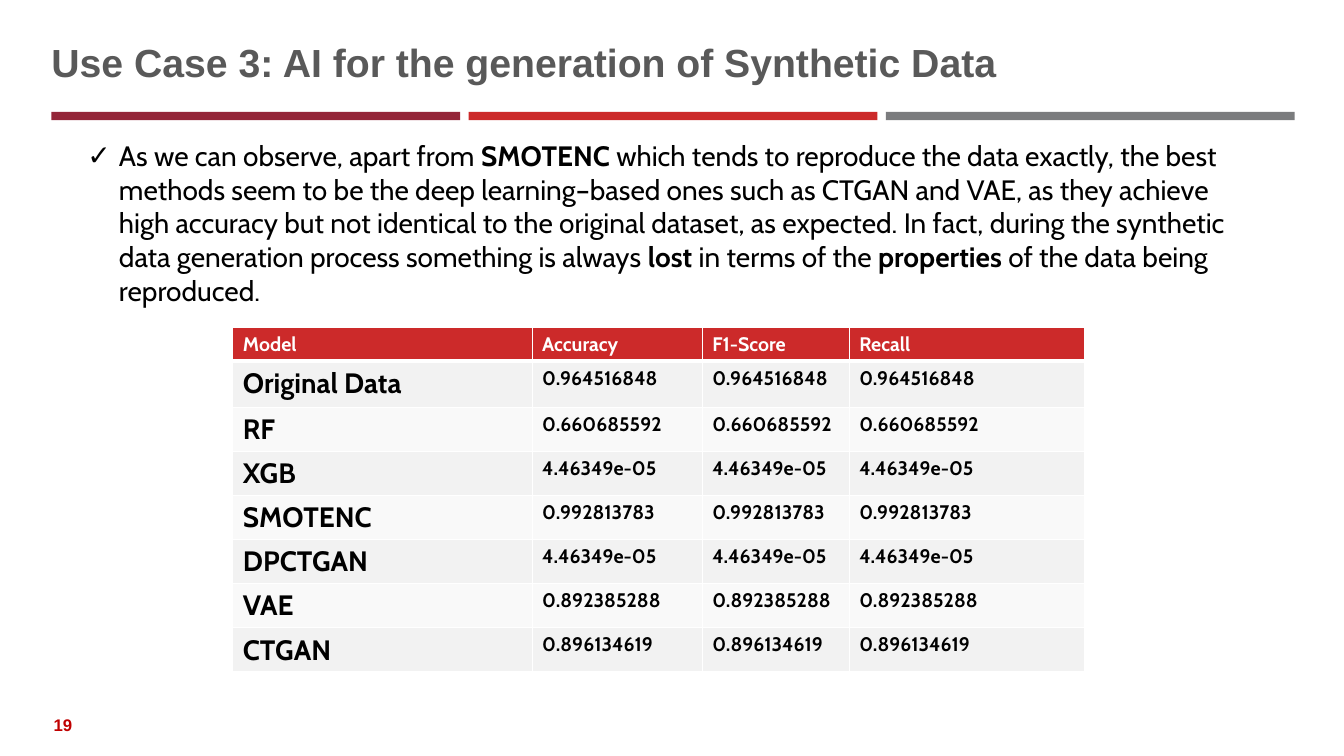
from lxml.etree import SubElement
from pptx import Presentation
from pptx.dml.color import RGBColor
from pptx.enum.shapes import MSO_SHAPE
from pptx.enum.text import MSO_ANCHOR as Anchor, PP_ALIGN as Align
from pptx.oxml.ns import qn
from pptx.util import Pt


def color(value):
    return RGBColor.from_string(value)


def format_runs(paragraph, size, font_name, value, bold=True):
    for run in paragraph.runs:
        run.font.size = Pt(size)
        run.font.name = font_name
        run.font.color.rgb = color(value)
        run.font.bold = bold


presentation = Presentation()
presentation.slide_width = Pt(960)
presentation.slide_height = Pt(540)
slide = presentation.slides.add_slide(presentation.slide_layouts[6])

for index, bar_color in enumerate(["942639", "CC2A2A", "7B7C7E"]):
    bar = slide.shapes.add_shape(
        MSO_SHAPE.RECTANGLE, Pt(36.7 + index * 298), Pt(80), Pt(292), Pt(5.8))
    bar.shadow.inherit = False
    bar.fill.solid()
    bar.fill.fore_color.rgb = color(bar_color)
    bar.line.fill.background()

number_box = slide.shapes.add_textbox(Pt(25.2), Pt(503.6), Pt(39.6), Pt(28.8))
number_frame = number_box.text_frame
number_frame.word_wrap = True
number_frame.vertical_anchor = Anchor.MIDDLE
number_frame.text = "19"
number_frame.paragraphs[0].alignment = Align.CENTER
format_runs(number_frame.paragraphs[0], 12, "Arial", "C00000")

title_box = slide.shapes.add_textbox(Pt(36.7), Pt(30.6), Pt(887), Pt(30.2))
title_frame = title_box.text_frame
title_frame.word_wrap = True
title_frame.vertical_anchor = Anchor.BOTTOM
title_frame.margin_left = title_frame.margin_right = 0
title_frame.margin_top = title_frame.margin_bottom = 0
title_frame.text = "Use Case 3: AI for the generation of Synthetic Data"
title_frame.paragraphs[0].line_spacing = Pt(30)
format_runs(title_frame.paragraphs[0], 28, "Arial", "595959")

scores = [
    ("Original Data", "0.964516848"),
    ("RF", "0.660685592"),
    ("XGB", "4.46349e-05"),
    ("SMOTENC", "0.992813783"),
    ("DPCTGAN", "4.46349e-05"),
    ("VAE", "0.892385288"),
    ("CTGAN", "0.896134619"),
]
rows = [["Model", "Accuracy", "F1-Score", "Recall"]]
rows += [[model, score, score, score] for model, score in scores]
column_widths = [213.8, 121.5, 105, 168.3]
row_heights = [22.5, 33] + [31.5] * 6

table = slide.shapes.add_table(
    len(rows), len(column_widths), Pt(166.3), Pt(234),
    Pt(sum(column_widths)), Pt(sum(row_heights))).table
for column, width in zip(table.columns, column_widths):
    column.width = Pt(width)
for row, height in zip(table.rows, row_heights):
    row.height = Pt(height)

for row_index, values in enumerate(rows):
    is_header = row_index == 0
    if is_header:
        row_fill = "CC2A2A"
    else:
        row_fill = "F2F2F2" if row_index % 2 else "F9F9F9"
    for column_index, value in enumerate(values):
        cell = table.cell(row_index, column_index)
        cell.text_frame.text = value
        size = 20 if column_index == 0 and not is_header else 14
        format_runs(cell.text_frame.paragraphs[0], size, "Cabin",
                    "FFFFFF" if is_header else "000000")
        properties = cell._tc.get_or_add_tcPr()
        for side in ["lnL", "lnR", "lnT", "lnB"]:
            border_width = 3 if is_header and side == "lnB" else 1
            border = SubElement(properties, qn("a:" + side), w=str(Pt(border_width)))
            border_fill = SubElement(border, qn("a:solidFill"))
            SubElement(border_fill, qn("a:srgbClr"), val="FFFFFF")
        cell.fill.solid()
        cell.fill.fore_color.rgb = color(row_fill)

body_box = slide.shapes.add_textbox(Pt(55.4), Pt(95.5), Pt(850.3), Pt(128.2))
body_frame = body_box.text_frame
body_frame.word_wrap = True
paragraph = body_frame.paragraphs[0]
paragraph_properties = paragraph._p.get_or_add_pPr()
paragraph_properties.set("marL", str(Pt(22.5)))
paragraph_properties.set("indent", str(Pt(-22.5)))
SubElement(paragraph_properties, qn("a:buFont"), typeface="Arial")
SubElement(paragraph_properties, qn("a:buChar"), char="✓")
body_parts = [
    "As we can observe, apart from ",
    "SMOTENC",
    " which tends to reproduce the data exactly, the best methods seem to be "
    "the deep learning–based ones such as CTGAN and VAE, as they achieve high "
    "accuracy but not identical to the original dataset, as expected. In fact, "
    "during the synthetic data generation process something is always ",
    "lost",
    " in terms of the ",
    "properties",
    " of the data being reproduced.",
]
for part in body_parts:
    paragraph.add_run().text = part
format_runs(paragraph, 20, "Cabin", "000000", bold=False)
for run in paragraph.runs[1::2]:
    run.font.bold = True

presentation.save("out.pptx")
